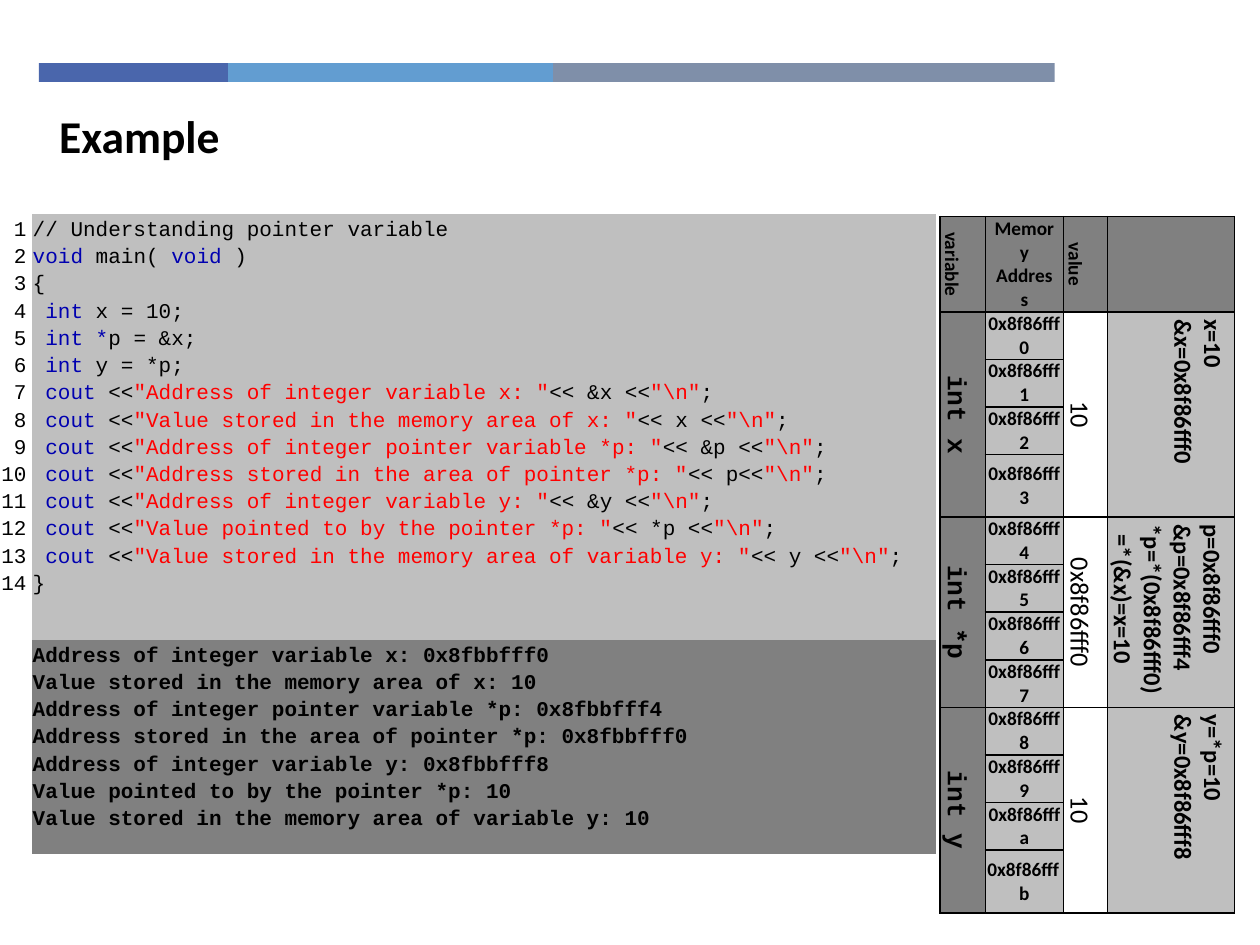
from dataclasses import dataclass
from itertools import accumulate

from lxml.etree import SubElement
from pptx import Presentation
from pptx.dml.color import RGBColor
from pptx.enum.shapes import MSO_SHAPE
from pptx.enum.text import MSO_ANCHOR, PP_ALIGN
from pptx.oxml.ns import qn
from pptx.util import Inches, Pt

COLORS = {
    "black": "000000", "keyword": "0000B0", "string": "FF0000",
    "light": "BFBFBF", "dark": "808080",
    "indigo": "4A66AC", "sky": "629DD1", "slate": "7F8FA9",
}
PLAIN_TABLE = "{2D5ABB26-0587-4C30-8999-92F81FD0307C}"
BYTES = 4


@dataclass(frozen=True)
class Span:
    text: str
    color: str = "black"


@dataclass(frozen=True)
class Style:
    size: int
    font: str = "Calibri"
    bold: bool = True
    align: PP_ALIGN = PP_ALIGN.CENTER
    line_spacing: float = 1.0


@dataclass(frozen=True)
class Variable:
    name: str
    value: str
    notes: tuple[str, ...]
    free_lines: int = 0


@dataclass(frozen=True)
class Bar:
    width: float
    color: str


BARS = (Bar(1.5, "indigo"), Bar(2.58, "sky"), Bar(3.98, "slate"))
HEADING = Style(11)
NAME = Style(15, "Courier New")
VALUE = Style(15, bold=False)
NOTE = Style(14, align=PP_ALIGN.LEFT)
CODE = Style(12, "Courier New", False, PP_ALIGN.LEFT, 1.15)
NUMBER = Style(12, "Courier New", False, PP_ALIGN.RIGHT, 1.15)
OUTPUT = Style(12, "Courier New", True, PP_ALIGN.LEFT, 1.15)

VARIABLES = (
    Variable("int x", "10", ("x=10", "&x=0x8f86fff0"), 2),
    Variable("int *p", "0x8f86fff0",
             ("p=0x8f86fff0", "&p=0x8f86fff4", "*p=*(0x8f86fff0)", "=*(&x)=x=10")),
    Variable("int y", "10", ("y=*p=10", "&y=0x8f86fff8"), 2),
)

PRINTS = (
    ("Address of integer variable x: ", " &x ", "0x8fbbfff0"),
    ("Value stored in the memory area of x: ", " x ", "10"),
    ("Address of integer pointer variable *p: ", " &p ", "0x8fbbfff4"),
    ("Address stored in the area of pointer *p: ", " p", "0x8fbbfff0"),
    ("Address of integer variable y: ", " &y ", "0x8fbbfff8"),
    ("Value pointed to by the pointer *p: ", " *p ", "10"),
    ("Value stored in the memory area of variable y: ", " y ", "10"),
)


def declaration(keyword: str, rest: str) -> list[Span]:
    return [Span(" "), Span(keyword, "keyword"), Span(rest)]


def print_statement(message: str, expression: str) -> list[Span]:
    return [Span(" "), Span("cout", "keyword"), Span(" <<"),
            Span(f'"{message}"', "string"), Span(f"<<{expression}<<"),
            Span('"\\n"', "string"), Span(";")]


CODE_LINES = [
    [Span("// Understanding pointer variable")],
    [Span("void ", "keyword"), Span("main( "), Span("void", "keyword"), Span(" )")],
    [Span("{")],
    declaration("int", " x = 10;"),
    declaration("int *", "p = &x;"),
    declaration("int", " y = *p;"),
    *(print_statement(message, expression) for message, expression, _ in PRINTS),
    [Span("}")],
]


def plain(*lines: str) -> list[list[Span]]:
    return [[Span(line)] for line in lines]


def rgb(name: str) -> RGBColor:
    return RGBColor.from_string(COLORS[name])


def write(text_frame, lines: list[list[Span]], style: Style) -> None:
    for index, spans in enumerate(lines):
        paragraph = text_frame.paragraphs[0] if index == 0 else text_frame.add_paragraph()
        paragraph.alignment = style.align
        paragraph.line_spacing = style.line_spacing
        for span in spans:
            run = paragraph.add_run()
            run.text = span.text
            run.font.name, run.font.size = style.font, Pt(style.size)
            run.font.bold = style.bold
            run.font.color.rgb = rgb(span.color)


def add_grid(slide, left: float, top: float, columns: list[float], rows: list[float]):
    table = slide.shapes.add_table(
        len(rows), len(columns), Inches(left), Inches(top),
        Inches(sum(columns)), Inches(sum(rows))).table
    table.first_row = table.horz_banding = False
    table._tbl.tblPr.find(qn("a:tableStyleId")).text = PLAIN_TABLE
    for column, width in zip(table.columns, columns):
        column.width = Inches(width)
    for row, height in zip(table.rows, rows):
        row.height = Inches(height)
    for cell in table.iter_cells():
        set_margins(cell, 0.01, 0.01)
        cell.fill.background()
    return table


def set_margins(cell, sides: float, ends: float) -> None:
    cell.margin_left = cell.margin_right = Inches(sides)
    cell.margin_top = cell.margin_bottom = Inches(ends)


def paint(cell, color: str) -> None:
    cell.fill.solid()
    cell.fill.fore_color.rgb = rgb(color)


def add_borders(cell) -> None:
    properties = cell._tc.get_or_add_tcPr()
    for index, side in enumerate(("lnL", "lnR", "lnT", "lnB")):
        line = properties.makeelement(qn(f"a:{side}"), {"w": str(Pt(1))})
        fill = SubElement(line, qn("a:solidFill"))
        SubElement(fill, qn("a:srgbClr"), val=COLORS["black"])
        properties.insert(index, line)


def fill_memory_cell(cell, lines: list[list[Span]], style: Style,
                     color: str = "", vertical: bool = False, sides: float = 0.06) -> None:
    set_margins(cell, sides, 0)
    cell.vertical_anchor = MSO_ANCHOR.MIDDLE
    write(cell.text_frame, lines, style)
    if color:
        paint(cell, color)
    if vertical:
        cell._tc.get_or_add_tcPr().set("vert", "vert")


def add_code_table(slide) -> None:
    table = add_grid(slide, 0, 1.7, [0.25, 7.18], [3.38, 1.7])
    numbers, code, output = table.cell(0, 0), table.cell(0, 1), table.cell(1, 1)
    numbers.margin_right = Inches(0.04)
    write(numbers.text_frame, plain(*map(str, range(1, len(CODE_LINES) + 1))), NUMBER)
    write(code.text_frame, CODE_LINES, CODE)
    write(output.text_frame, plain(*(message + result for message, _, result in PRINTS)), OUTPUT)
    paint(code, "light")
    paint(output, "dark")


def add_memory_table(slide) -> None:
    byte_count = BYTES * len(VARIABLES)
    table = add_grid(slide, 7.46, 1.72, [0.36, 0.62, 0.35, 1.01], [0.69] + [0.37] * byte_count)
    for cell in table.iter_cells():
        set_margins(cell, 0.01, 0)
        add_borders(cell)
    for column, lines in enumerate((["variable"], ["Memory", "Address"], ["value"], [])):
        fill_memory_cell(table.cell(0, column), plain(*lines), HEADING, "dark",
                         vertical=column in (0, 2))
    for offset in range(byte_count):
        fill_memory_cell(table.cell(offset + 1, 1), plain(f"0x8f86fff{offset:x}"),
                         HEADING, "light", sides=0.01)
    for index, variable in enumerate(VARIABLES):
        first = 1 + index * BYTES
        for column in (0, 2, 3):
            table.cell(first, column).merge(table.cell(first + BYTES - 1, column))
        fill_memory_cell(table.cell(first, 0), plain(variable.name), NAME, "dark", True)
        fill_memory_cell(table.cell(first, 2), plain(variable.value), VALUE, "", True)
        notes = table.cell(first, 3)
        fill_memory_cell(notes, plain(*variable.notes), NOTE, "light", True)
        if variable.free_lines:
            notes.vertical_anchor = MSO_ANCHOR.TOP
            notes.margin_bottom = Inches(0.24 * variable.free_lines)
        for paragraph in notes.text_frame.paragraphs:
            if paragraph.text.startswith("="):
                paragraph._p.get_or_add_pPr().set("marL", str(Inches(0.08)))


def add_bars(slide) -> None:
    lefts = accumulate((bar.width for bar in BARS), initial=0.31)
    for bar, left in zip(BARS, lefts):
        shape = slide.shapes.add_shape(
            MSO_SHAPE.RECTANGLE, Inches(left), Inches(0.5), Inches(bar.width), Inches(0.15))
        shape.shadow.inherit = False
        shape.fill.solid()
        shape.fill.fore_color.rgb = rgb(bar.color)
        shape.line.fill.background()


def main() -> None:
    presentation = Presentation()
    presentation.slide_width, presentation.slide_height = Inches(10), Inches(7.5)
    slide = presentation.slides.add_slide(presentation.slide_layouts[5])
    add_bars(slide)
    add_code_table(slide)
    add_memory_table(slide)
    title = slide.shapes.title
    title.left, title.top = Inches(0.37), Inches(0.8)
    title.width, title.height = Inches(7.16), Inches(0.54)
    title.text_frame.vertical_anchor = MSO_ANCHOR.MIDDLE
    write(title.text_frame, plain("Example"), Style(26, align=PP_ALIGN.LEFT))
    presentation.save("out.pptx")


if __name__ == "__main__":
    main()
